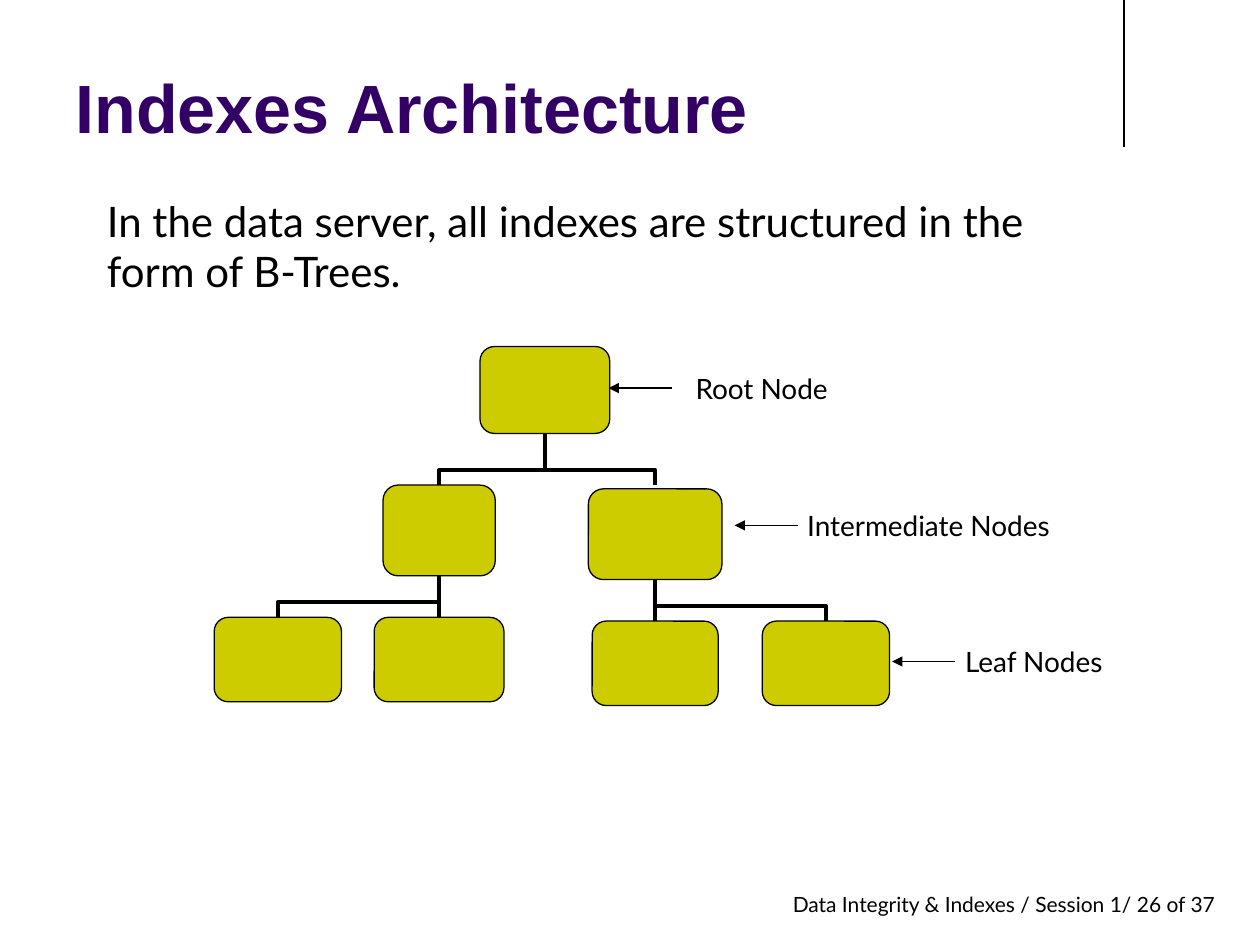
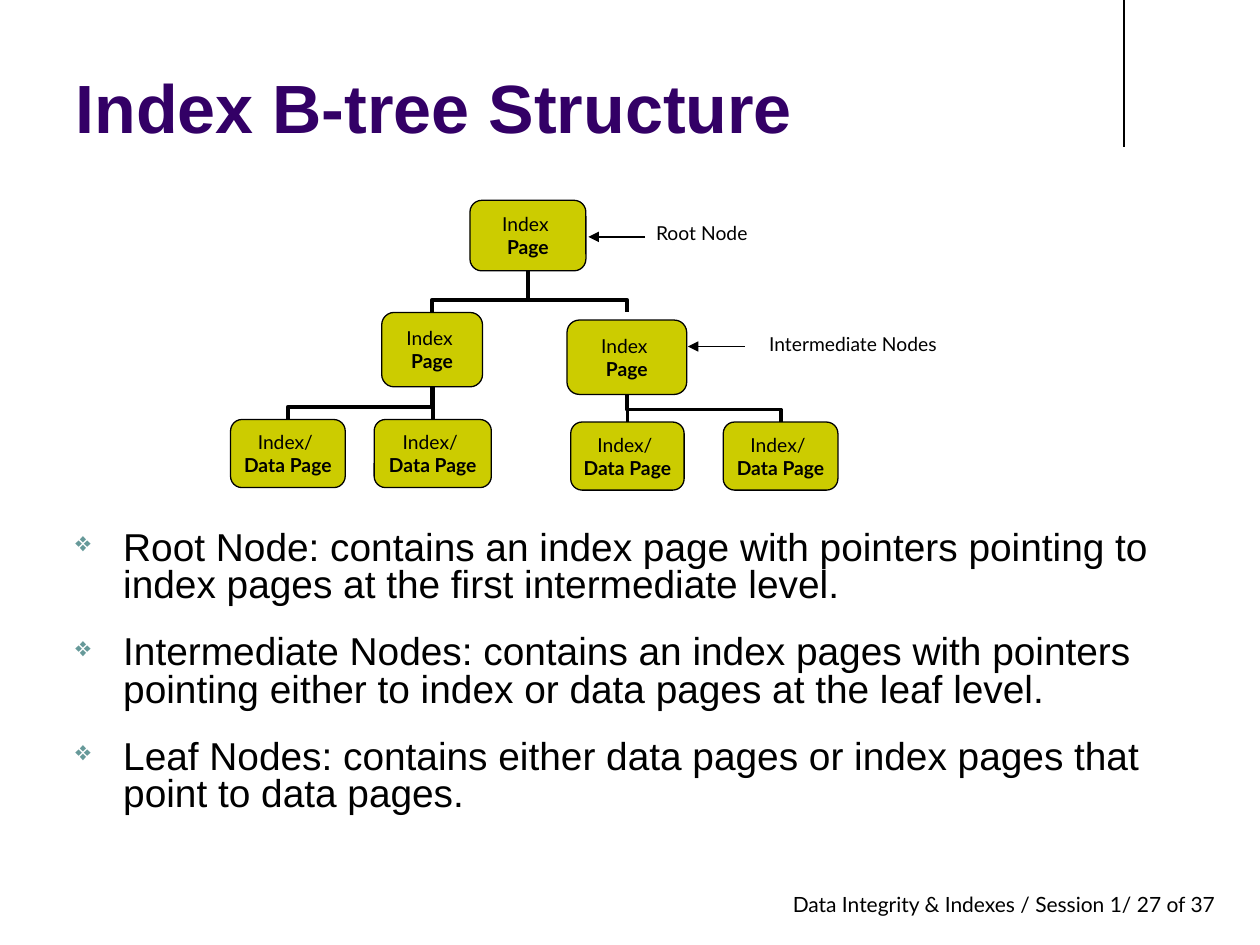
from dataclasses import dataclass
from typing import NamedTuple, Optional

from pptx import Presentation
from pptx import util as u
from pptx.dml import color
from pptx.enum import shapes, text
from pptx.oxml import ns
from lxml import etree

HUES = {
    "ink": "000000",
    "title": "330066",
    "node": "CCCC00",
    "paper": "FFFFFF",
    "mark": "669999",
}
HEAD, BODY = "Arial", "Lato"
THIN, THICK = 0.74, 2.24
SPACE = 17
SHAPE = shapes.MSO_SHAPE
LINK = shapes.MSO_CONNECTOR
ALIGN = text.PP_ALIGN
MID = text.MSO_ANCHOR.MIDDLE


class Box(NamedTuple):
    left: float
    top: float
    width: float
    height: float

    @property
    def mid(self) -> float:
        return self.left + self.width / 2

    @property
    def base(self) -> float:
        return self.top + self.height


@dataclass
class Node:
    box: Box
    up: Optional[int] = None
    lift: float = 0
    lines: tuple = ()


@dataclass
class Label:
    words: str
    box: Box
    start: float
    end: float
    level: float


@dataclass
class Tree:
    nodes: list
    labels: list
    size: float
    pad: tuple
    gap: float


def hue(name: str):
    return color.RGBColor.from_string(HUES[name])


def place(box: Box) -> list:
    return [u.Inches(v) for v in box]


def child(parent, tag: str, **attrs):
    return etree.SubElement(parent, ns.qn(tag), **attrs)


def add_run(para, words: str, size: float, font: str = BODY,
            tint: str = "ink", bold: bool = False) -> None:
    run = para.add_run()
    run.text = words
    run.font.size, run.font.name, run.font.bold = u.Pt(size), font, bold
    run.font.color.rgb = hue(tint)


def set_frame(frame, pad: tuple, wrap: bool = True, anchor=None) -> None:
    frame.auto_size = text.MSO_AUTO_SIZE.NONE
    frame.word_wrap = wrap
    frame.margin_left = frame.margin_right = u.Inches(pad[0])
    frame.margin_top = frame.margin_bottom = u.Inches(pad[1])
    if anchor is not None:
        frame.vertical_anchor = anchor


def add_text(slide, box: Box):
    frame = slide.shapes.add_textbox(*place(box)).text_frame
    set_frame(frame, (0.1, 0.05))
    return frame


def add_line(slide, kind, x1: float, y1: float, x2: float, y2: float,
             width: float = THIN, arrow: bool = False):
    line = slide.shapes.add_connector(
        kind, *[u.Inches(v) for v in (x1, y1, x2, y2)])
    line.line.color.rgb = hue("ink")
    line.line.width = u.Pt(width)
    if arrow:
        child(line.line._get_or_add_ln(), "a:tailEnd", type="triangle")
    child(line.element.spPr, "a:effectLst")
    return line


def add_branch(slide, node: Node, root: Node, gap: float) -> None:
    x1, y1 = root.box.mid, root.box.base
    x2, y2 = node.box.mid, node.box.top - node.lift
    drop, shift = y2 - y1, x2 - x1
    if abs(shift) < 0.02:
        add_line(slide, LINK.STRAIGHT, x2, y1, x2, y2, THICK)
        return
    x, y = (x1 + x2) / 2, (y1 + y2) / 2
    line = add_line(slide, LINK.ELBOW, x - drop / 2, y + shift / 2,
                    x + drop / 2, y - shift / 2, THICK)
    props = line.element.spPr
    props.find(ns.qn("a:xfrm")).set("rot", str(90 * 60000))
    geom = props.find(ns.qn("a:prstGeom"))
    guides = geom.find(ns.qn("a:avLst"))
    if guides is None:
        guides = child(geom, "a:avLst")
    turn = round((drop - gap) / drop * 100000)
    child(guides, "a:gd", name="adj1", fmla=f"val {turn}")


def add_block(slide, kind, box: Box, fill: str, edge: str, lines: tuple,
              size: float, pad: tuple) -> None:
    block = slide.shapes.add_shape(kind, *place(box))
    block.shadow.inherit = False
    block.fill.solid()
    block.fill.fore_color.rgb = hue(fill)
    block.line.color.rgb = hue(edge)
    block.line.width = u.Pt(THIN)
    frame = block.text_frame
    set_frame(frame, pad, False, MID)
    for i, words in enumerate(lines):
        para = frame.add_paragraph() if i else frame.paragraphs[0]
        para.alignment = ALIGN.CENTER
        add_run(para, words, size, bold=i > 0)


def add_tree(slide, tree: Tree) -> None:
    for node in tree.nodes:
        if node.up is not None:
            add_branch(slide, node, tree.nodes[node.up], tree.gap)
    for node in tree.nodes:
        add_block(slide, SHAPE.ROUNDED_RECTANGLE, node.box, "node", "ink",
                  node.lines, tree.size, tree.pad)
    for label in tree.labels:
        add_block(slide, SHAPE.RECTANGLE, label.box, "paper", "paper",
                  (label.words,), tree.size, tree.pad)
    for label in tree.labels:
        add_line(slide, LINK.STRAIGHT, label.start, label.level,
                 label.end, label.level, arrow=True)


def add_slide(deck, title: str, page: int):
    slide = deck.slides.add_slide(deck.slide_layouts[5])
    add_line(slide, LINK.STRAIGHT, 8.92, 0, 8.92, 1.17)
    foot = add_text(slide, Box(5.92, 7.03, 4, 0.47))
    foot.margin_right = 0
    para = foot.paragraphs[0]
    para.alignment = ALIGN.CENTER
    add_run(para, f"Data Integrity & Indexes / Session 1/ {page} of 37", 12)
    head = slide.shapes.title
    head.left, head.top, head.width, head.height = place(
        Box(0.5, 0.13, 8.25, 1.42))
    set_frame(head.text_frame, (0.1, 0.05), anchor=MID)
    para = head.text_frame.paragraphs[0]
    para.alignment = ALIGN.LEFT
    add_run(para, title, 39, HEAD, "title", True)
    return slide


def add_bullets(slide, box: Box, points: list) -> None:
    frame = add_text(slide, box)
    for i, words in enumerate(points):
        para = frame.add_paragraph() if i else frame.paragraphs[0]
        para.space_before, para.line_spacing = u.Pt(SPACE), 0.8
        props = para._p.get_or_add_pPr()
        inset = u.Inches(0.38)
        props.set("marL", str(inset))
        props.set("indent", str(-inset))
        tint = child(props, "a:buClr")
        child(tint, "a:srgbClr", val=HUES["mark"])
        child(props, "a:buSzPct", val="70000")
        child(props, "a:buChar", char="❖")
        add_run(para, words, 22.2, HEAD)


INDEX = ("Index ", "Page")
LEAF = ("Index/ ", "Data Page")

PLAIN = Tree(
    nodes=[
        Node(Box(3.81, 2.75, 1.03, 0.69)),
        Node(Box(3.04, 3.85, 0.89, 0.72), 0),
        Node(Box(4.67, 3.88, 1.06, 0.72), 0, 0.03),
        Node(Box(1.7, 4.9, 1.01, 0.67), 1),
        Node(Box(2.97, 4.9, 1.03, 0.67), 1),
        Node(Box(4.7, 4.93, 1, 0.67), 2),
        Node(Box(6.05, 4.93, 1.01, 0.67), 2),
    ],
    labels=[
        Label("Root Node", Box(5.42, 2.83, 1.25, 0.5), 5.33, 4.83, 3.08),
        Label("Intermediate Nodes", Box(6.33, 3.92, 2.08, 0.5),
              6.33, 5.83, 4.17),
        Label("Leaf Nodes", Box(7.58, 5, 1.25, 0.5), 7.58, 7.08, 5.25),
    ],
    size=16, pad=(0.1, 0.05), gap=0.12,
)

PAGES = Tree(
    nodes=[
        Node(Box(3.73, 1.59, 0.92, 0.56), lines=INDEX),
        Node(Box(3.03, 2.48, 0.8, 0.59), 0, lines=INDEX),
        Node(Box(4.5, 2.54, 0.95, 0.59), 0, 0.06, INDEX),
        Node(Box(1.83, 3.33, 0.91, 0.54), 1, lines=LEAF),
        Node(Box(2.97, 3.33, 0.93, 0.54), 1, lines=LEAF),
        Node(Box(4.53, 3.35, 0.9, 0.54), 2, lines=LEAF),
        Node(Box(5.74, 3.35, 0.91, 0.54), 2, lines=LEAF),
    ],
    labels=[
        Label("Root Node", Box(5.01, 1.65, 1.12, 0.4), 5.12, 4.67, 1.88),
        Label("Intermediate Nodes", Box(5.83, 2.53, 1.88, 0.4),
              5.91, 5.46, 2.75),
    ],
    size=11, pad=(0.09, 0.04), gap=0.1,
)

POINTS = [
    "Root Node: contains an index page with pointers pointing to index "
    "pages at the first intermediate level.",
    "Intermediate Nodes: contains an index pages with pointers pointing "
    "either to index or data pages at the leaf level.",
    "Leaf Nodes: contains either data pages or index pages that point to "
    "data pages.",
]


def main() -> None:
    deck = Presentation()
    deck.slide_width, deck.slide_height = u.Inches(10), u.Inches(7.5)

    slide = add_slide(deck, "Indexes Architecture", 26)
    add_tree(slide, PLAIN)
    para = add_text(slide, Box(0.75, 1.5, 8.08, 0.9)).paragraphs[0]
    para.space_before = u.Pt(SPACE)
    add_run(para, "In the data server, all indexes are structured in the "
                  "form of B-Trees.", 24)

    slide = add_slide(deck, "Index B-tree Structure", 27)
    add_bullets(slide, Box(0.5, 4.17, 9, 2.37), POINTS)
    add_tree(slide, PAGES)

    deck.save("out.pptx")


main()
